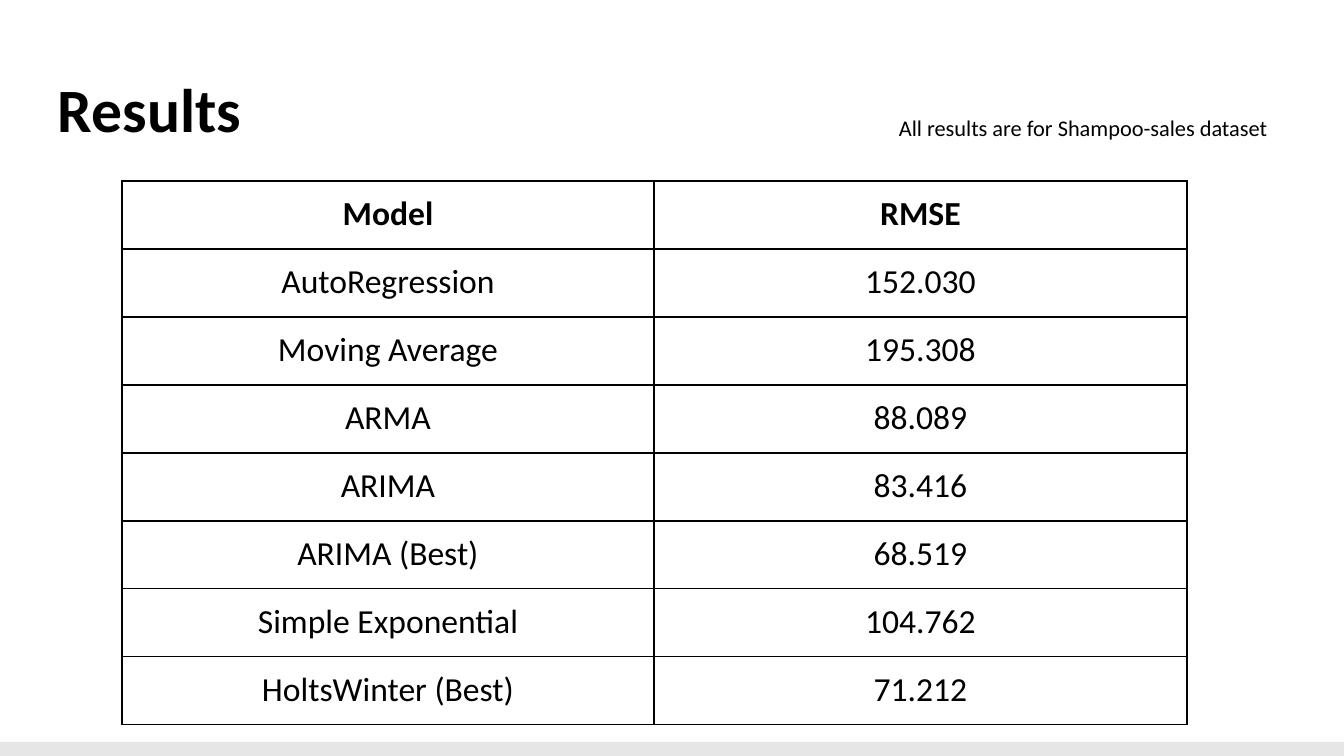
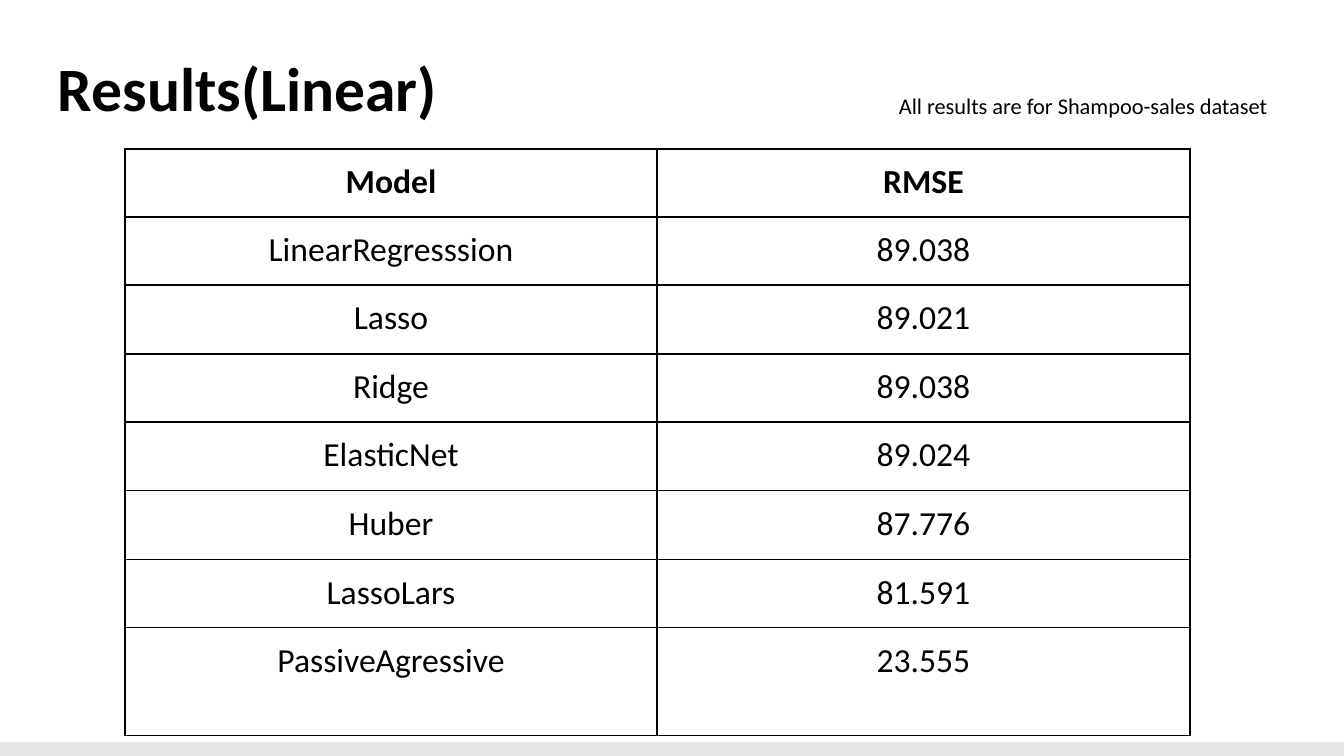
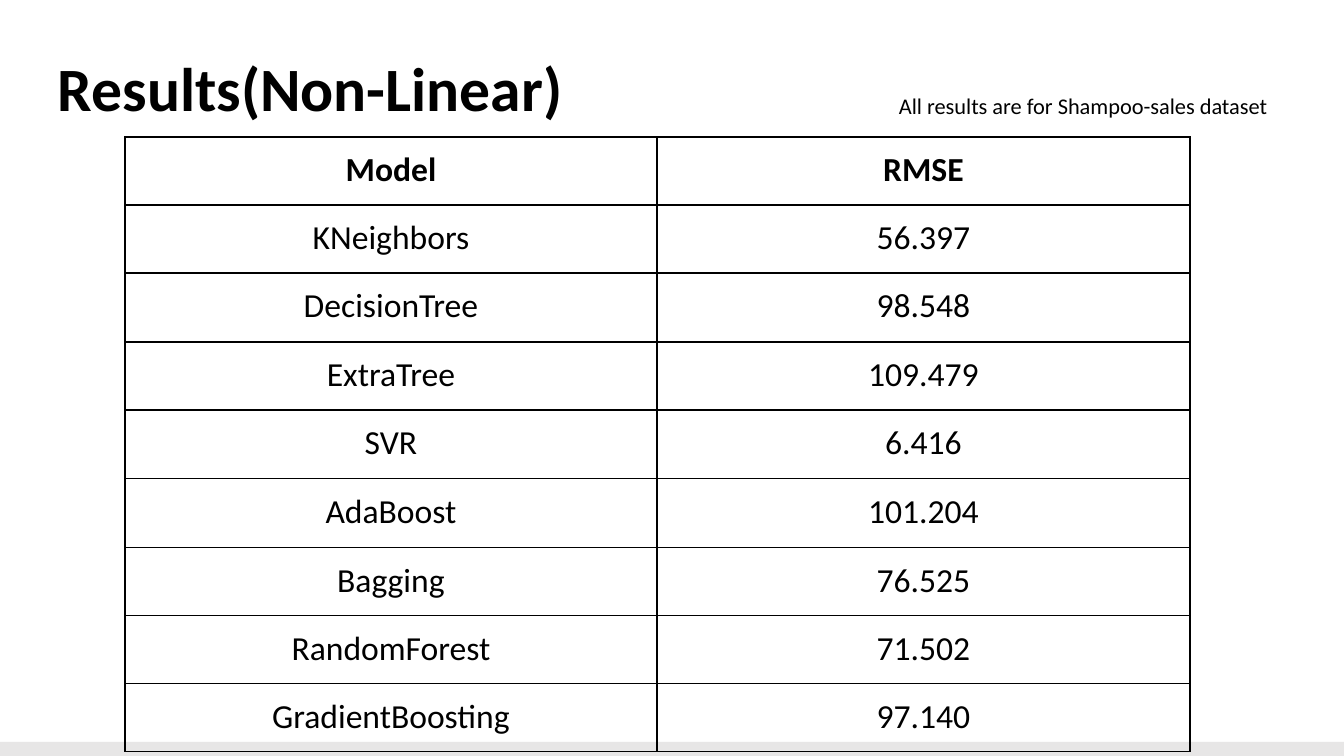
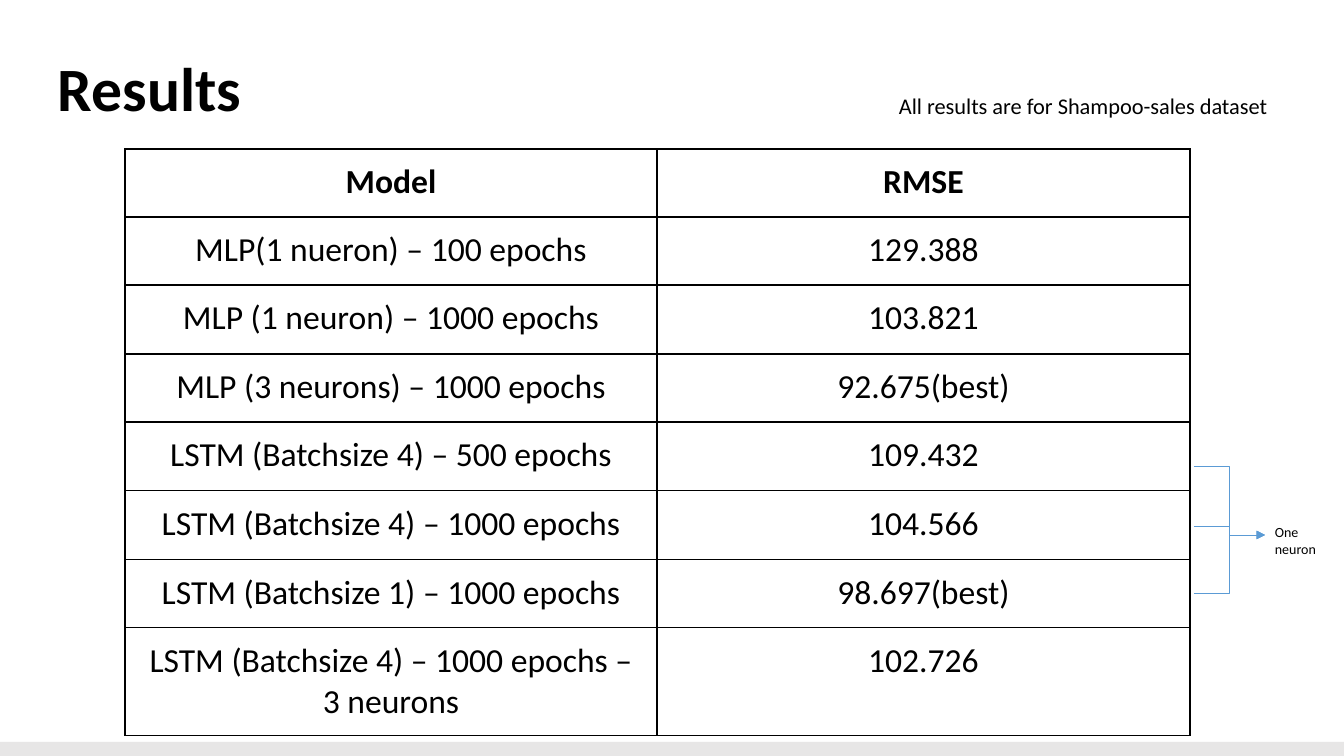
from lxml import etree
from pptx import Presentation
from pptx.dml.color import RGBColor
from pptx.enum.shapes import MSO_CONNECTOR, MSO_SHAPE
from pptx.enum.text import PP_ALIGN
from pptx.oxml.ns import qn
from pptx.util import Emu, Pt

ELBOW = MSO_CONNECTOR.ELBOW
RECTANGLE = MSO_SHAPE.RECTANGLE
LEFT, CENTER = PP_ALIGN.LEFT, PP_ALIGN.CENTER

EMU_PER_PIXEL = 914400 / 100.8
SLIDE_W, SLIDE_H = 1344, 756
FONT = "Calibri"
BLACK, BAND_GREY, ARROW_BLUE = "000000", "E7E6E6", "5B9BD5"
INSET = 13
BORDER_PT = 1
HEADINGS = ("Model", "RMSE")
DATASET_NOTE = "All results are for Shampoo-sales dataset"

FIRST_ROWS = [68, 68, 69, 68, 69, 69, 68]
TALL_LAST_ROW = FIRST_ROWS + [108]

CLASSICAL = [
    ("AutoRegression", "152.030"),
    ("Moving Average", "195.308"),
    ("ARMA", "88.089"),
    ("ARIMA", "83.416"),
    ("ARIMA (Best)", "68.519"),
    ("Simple Exponential", "104.762"),
    ("HoltsWinter (Best)", "71.212"),
]
LINEAR = [
    ("LinearRegresssion", "89.038"),
    ("Lasso", "89.021"),
    ("Ridge", "89.038"),
    ("ElasticNet", "89.024"),
    ("Huber", "87.776"),
    ("LassoLars", "81.591"),
    ("PassiveAgressive", "23.555"),
]
NON_LINEAR = [
    ("KNeighbors", "56.397"),
    ("DecisionTree", "98.548"),
    ("ExtraTree", "109.479"),
    ("SVR", "6.416"),
    ("AdaBoost", "101.204"),
    ("Bagging", "76.525"),
    ("RandomForest", "71.502"),
    ("GradientBoosting", "97.140"),
]
NEURAL = [
    ("MLP(1 nueron) – 100 epochs", "129.388"),
    ("MLP (1 neuron) – 1000 epochs", "103.821"),
    ("MLP (3 neurons) – 1000 epochs", "92.675(best)"),
    ("LSTM (Batchsize 4) – 500 epochs", "109.432"),
    ("LSTM (Batchsize 4) – 1000 epochs", "104.566"),
    ("LSTM (Batchsize 1) – 1000 epochs", "98.697(best)"),
    ("LSTM (Batchsize 4) – 1000 epochs – 3 neurons", "102.726"),
]


def px(length):
    """Turn pixels into EMU."""
    return Emu(round(length * EMU_PER_PIXEL))


def color(hex_code):
    """Turn a hex string into a colour."""
    return RGBColor.from_string(hex_code)


def write(frame, lines, size, bold=False, align=LEFT, spacing=None):
    """Write one paragraph per line in the deck's font."""
    frame.word_wrap = True
    frame.text = "\n".join(lines)
    for paragraph in frame.paragraphs:
        paragraph.alignment = align
        paragraph.line_spacing = spacing
        font = paragraph.font
        font.name, font.size, font.bold = FONT, Pt(size), bold
        font.color.rgb = color(BLACK)


def set_insets(holder, inset):
    """Give a text frame or table cell equal margins."""
    holder.margin_left = holder.margin_right = px(inset)
    holder.margin_top = holder.margin_bottom = px(inset)


def add_text(slide, box, lines, size):
    """Add plain text in a box given as left, top, width, height."""
    frame = slide.shapes.add_textbox(*map(px, box)).text_frame
    write(frame, lines, size)


def add_title(slide, title, top):
    """Add the bold slide title."""
    frame = slide.shapes.add_textbox(px(45), px(top), px(1252), px(85)).text_frame
    set_insets(frame, INSET)
    write(frame, [title], 44, bold=True, spacing=0.9)


def add_band(slide):
    """Add the grey band along the bottom edge."""
    height = 14
    band = slide.shapes.add_shape(
        RECTANGLE, 0, px(SLIDE_H - height), px(SLIDE_W), px(height))
    band.shadow.inherit = False
    band.fill.solid()
    band.fill.fore_color.rgb = color(BAND_GREY)
    band.line.fill.background()


def add_borders(cell):
    """Draw a black line on all four sides of a cell."""
    properties = cell._tc.get_or_add_tcPr()
    for side in ("a:lnL", "a:lnR", "a:lnT", "a:lnB"):
        line = etree.SubElement(properties, qn(side), w=str(Pt(BORDER_PT)))
        fill = etree.SubElement(line, qn("a:solidFill"))
        etree.SubElement(fill, qn("a:srgbClr"), val=BLACK)


def add_results_table(slide, results, left, top, heights):
    """Add the table of models and their errors."""
    rows = [HEADINGS] + results
    table = slide.shapes.add_table(
        len(rows), len(HEADINGS), px(left), px(top), px(1065), px(sum(heights))).table
    table.first_row = table.horz_banding = False
    for column, width in zip(table.columns, (532, 533)):
        column.width = px(width)
    for r, (values, height) in enumerate(zip(rows, heights)):
        table.rows[r].height = px(height)
        for c, value in enumerate(values):
            cell = table.cell(r, c)
            add_borders(cell)
            cell.fill.background()
            set_insets(cell, INSET)
            write(cell.text_frame, [value], 24, bold=r == 0, align=CENTER)


def add_elbow_arrow(slide, start, end):
    """Add a thin bent arrow between two points."""
    arrow = slide.shapes.add_connector(ELBOW, *map(px, start + end))
    arrow.line.color.rgb = color(ARROW_BLUE)
    arrow.line.width = Pt(0.5)
    etree.SubElement(arrow.line._get_or_add_ln(), qn("a:tailEnd"), type="triangle")
    etree.SubElement(arrow._element.spPr, qn("a:effectLst"))


def add_results_slide(deck, title, results, heights, title_top=45, note_top=87,
                      table_left=125, table_top=149):
    """Add a slide with band, title, results table and dataset note."""
    slide = deck.slides.add_slide(deck.slide_layouts[6])
    add_band(slide)
    add_title(slide, title, title_top)
    add_results_table(slide, results, table_left, table_top, heights)
    add_text(slide, (889, note_top, SLIDE_W - 889, 37), [DATASET_NOTE], 16)
    return slide


def add_neuron_callout(slide):
    """Join three LSTM rows to the label on their neuron count."""
    for row_y in (593, 526, 466):
        add_elbow_arrow(slide, (1194, row_y), (1265, 535))
    add_text(slide, (1265, 519, 61, 44), ["One", "neuron"], 10)


def main():
    """Build and save the deck."""
    deck = Presentation()
    deck.slide_width, deck.slide_height = px(SLIDE_W), px(SLIDE_H)
    add_results_slide(deck, "Results", CLASSICAL, [68] * 8, title_top=66,
                      note_top=109, table_left=122, table_top=181)
    add_results_slide(deck, "Results(Linear)", LINEAR, TALL_LAST_ROW)
    add_results_slide(deck, "Results(Non-Linear)", NON_LINEAR,
                      FIRST_ROWS + [68, 68], table_top=137)
    neural_slide = add_results_slide(deck, "Results", NEURAL, TALL_LAST_ROW)
    add_neuron_callout(neural_slide)
    deck.save("out.pptx")


main()
